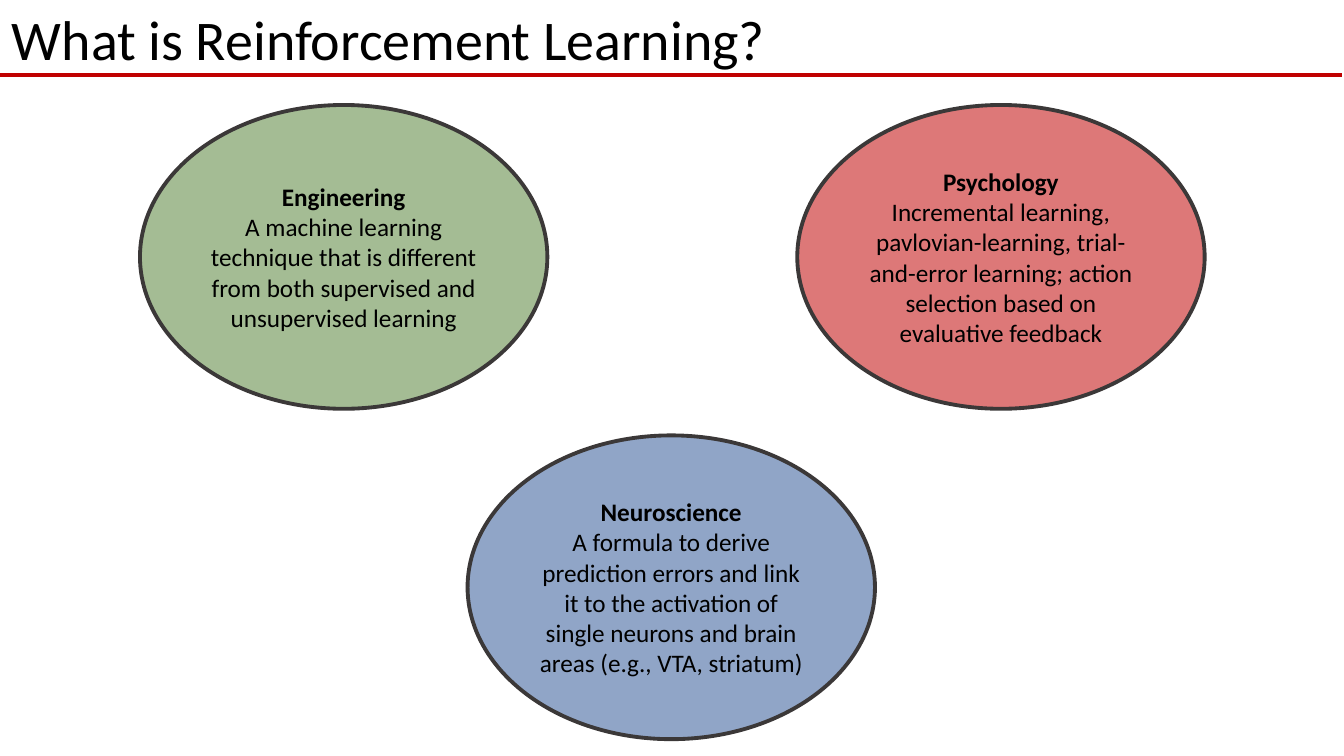
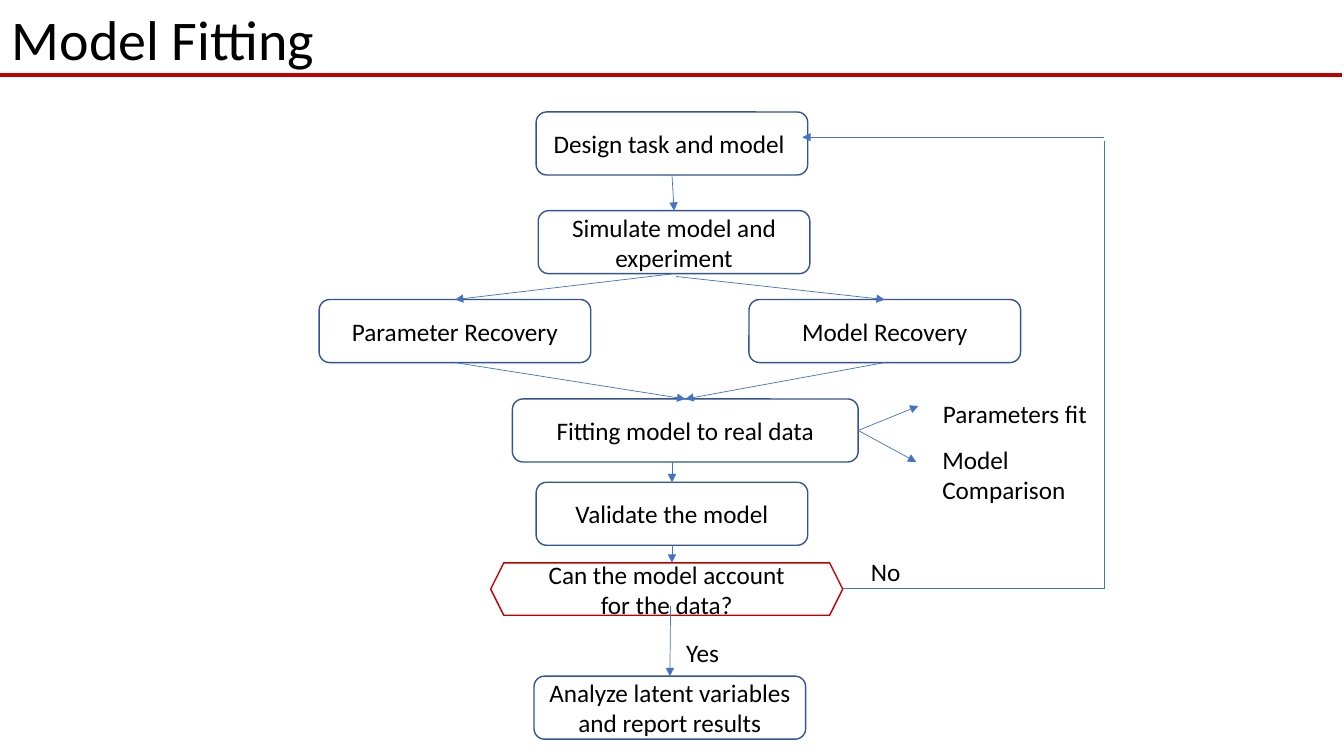
from lxml.etree import SubElement
from pptx import Presentation
from pptx.dml.color import RGBColor
from pptx.enum.shapes import MSO_CONNECTOR, MSO_SHAPE
from pptx.enum.text import MSO_ANCHOR, MSO_AUTO_SIZE, PP_ALIGN
from pptx.oxml.ns import qn
from pptx.util import Pt

COLORS = {
    "text": "000000",
    "accent": "C00000",
    "outline": "3B3838",
    "engineering": "548235",
    "psychology": "C00000",
    "neuroscience": "2F5597",
    "step": "325491",
    "arrow": "4472C4",
}
TOP, BOTTOM, RIGHT = 0, 2, 3
BLANK_LAYOUT = 6


def color(name):
    return RGBColor.from_string(COLORS[name])


class Deck:
    """Holds the shared style and the slide being built."""

    font = "Calibri"
    body_size = 18
    title_size = 40

    def __init__(self):
        self.prs = Presentation()
        self.prs.slide_width, self.prs.slide_height = Pt(960), Pt(540)
        self.slide = None

    def new_slide(self, title):
        layout = self.prs.slide_layouts[BLANK_LAYOUT]
        self.slide = self.prs.slides.add_slide(layout)
        self.line((0, 53.3), (958.5, 53.3), "accent", 2.75)
        self.label(title, 1.5, 0, 626, 55.4, self.title_size)

    def set_text(self, frame, lines, size, align, bold_first=False):
        frame.word_wrap = True
        frame.text = "\n".join(lines)
        for index, paragraph in enumerate(frame.paragraphs):
            paragraph.alignment = align
            paragraph.font.name = self.font
            paragraph.font.size = Pt(size)
            paragraph.font.bold = bold_first and index == 0
            paragraph.font.color.rgb = color("text")

    def label(self, text, left, top, width, height, size=body_size):
        box = self.slide.shapes.add_textbox(Pt(left), Pt(top), Pt(width), Pt(height))
        self.set_text(box.text_frame, [text], size, PP_ALIGN.LEFT)
        box.text_frame.auto_size = MSO_AUTO_SIZE.SHAPE_TO_FIT_TEXT

    def outlined(self, kind, lines, left, top, width, height, line, weight,
                 bold_first=False):
        """Add an unfilled shape with centred text."""
        shape = self.slide.shapes.add_shape(
            kind, Pt(left), Pt(top), Pt(width), Pt(height))
        shape.shadow.inherit = False
        shape.fill.background()
        shape.line.color.rgb = color(line)
        shape.line.width = Pt(weight)
        shape.text_frame.vertical_anchor = MSO_ANCHOR.MIDDLE
        self.set_text(shape.text_frame, lines, self.body_size, PP_ALIGN.CENTER,
                      bold_first)
        return shape

    def field(self, heading, description, left, top, fill):
        """Add a translucent ellipse for one field of research."""
        ellipse = self.outlined(MSO_SHAPE.OVAL, [heading, description], left, top,
                                291, 217, "outline", 2.75, bold_first=True)
        ellipse.fill.solid()
        ellipse.fill.fore_color.rgb = color(fill)
        tint = ellipse.element.spPr.find(qn("a:solidFill")).find(qn("a:srgbClr"))
        SubElement(tint, qn("a:alpha"), val="53000")

    def step(self, text, left, top, width=194):
        return self.outlined(MSO_SHAPE.ROUNDED_RECTANGLE, [text], left, top,
                             width, 45, "step", 1)

    def line(self, start, end, line_color="arrow", weight=0.5, arrow=False):
        """Draw a line; each end is a point (x, y) or a pair (shape, site)."""
        start_glued, end_glued = (not isinstance(e[0], (int, float)) for e in (start, end))
        x1, y1 = (0, 0) if start_glued else start
        x2, y2 = (0, 0) if end_glued else end
        connector = self.slide.shapes.add_connector(
            MSO_CONNECTOR.STRAIGHT, Pt(x1), Pt(y1), Pt(x2), Pt(y2))
        if start_glued:
            connector.begin_connect(*start)
        if end_glued:
            connector.end_connect(*end)
        connector.line.color.rgb = color(line_color)
        connector.line.width = Pt(weight)
        properties = connector.element.spPr
        if arrow:
            SubElement(properties.find(qn("a:ln")), qn("a:tailEnd"), type="triangle")
        SubElement(properties, qn("a:effectLst"))

    def arrow(self, start, end):
        self.line(start, end, arrow=True)


def build_fields(deck):
    deck.new_slide("What is Reinforcement Learning?")
    deck.field("Psychology",
               "Incremental learning, pavlovian-learning, trial-and-error learning; "
               "action selection based on evaluative feedback",
               569.5, 75, "psychology")
    deck.field("Engineering",
               "A machine learning technique that is different from both supervised "
               "and unsupervised learning",
               100, 75, "engineering")
    deck.field("Neuroscience",
               "A formula to derive prediction errors and link it to the activation "
               "of single neurons and brain areas (e.g., VTA, striatum)",
               334, 311, "neuroscience")


def build_model_fitting(deck):
    deck.new_slide("Model Fitting")
    design = deck.step("Design task and model ", 383, 80)
    simulate = deck.step("Simulate model and experiment", 384.5, 150.5)
    parameters = deck.step("Parameter Recovery", 228, 214)
    models = deck.step("Model Recovery", 535, 214)
    fitting = deck.step("Fitting model to real data", 366, 285, 247)
    validate = deck.step("Validate the model", 383, 344.5)
    deck.outlined(MSO_SHAPE.HEXAGON, ["Can the model account for the data?"],
                  350.5, 402, 251.5, 37.5, "accent", 1)
    analyze = deck.step("Analyze latent variables and report results", 381.5, 483)

    for start, end in (
        ((design, BOTTOM), (simulate, TOP)),
        ((simulate, BOTTOM), (parameters, TOP)),
        ((483, 197.5), (models, TOP)),
        ((parameters, BOTTOM), (fitting, TOP)),
        ((models, BOTTOM), (fitting, TOP)),
        ((480, 330), (validate, TOP)),
        ((validate, BOTTOM), (480, 402)),
        ((479, 433), (analyze, TOP)),
        ((fitting, RIGHT), (656, 290)),
        ((fitting, RIGHT), (654.5, 330)),
    ):
        deck.arrow(start, end)

    deck.line((602, 420.5), (788.5, 420.5))
    deck.line((788.5, 420.5), (788.5, 101))
    deck.arrow((788.5, 98), (573, 98))

    deck.label("Parameters fit", 666.5, 281, 150, 29)
    deck.label("Model Comparison", 666, 314, 150, 51)
    deck.label("Yes", 483, 452, 52, 29)
    deck.label("No", 615, 394, 52, 29)


def main():
    deck = Deck()
    build_fields(deck)
    build_model_fitting(deck)
    deck.prs.save("out.pptx")


if __name__ == "__main__":
    main()
